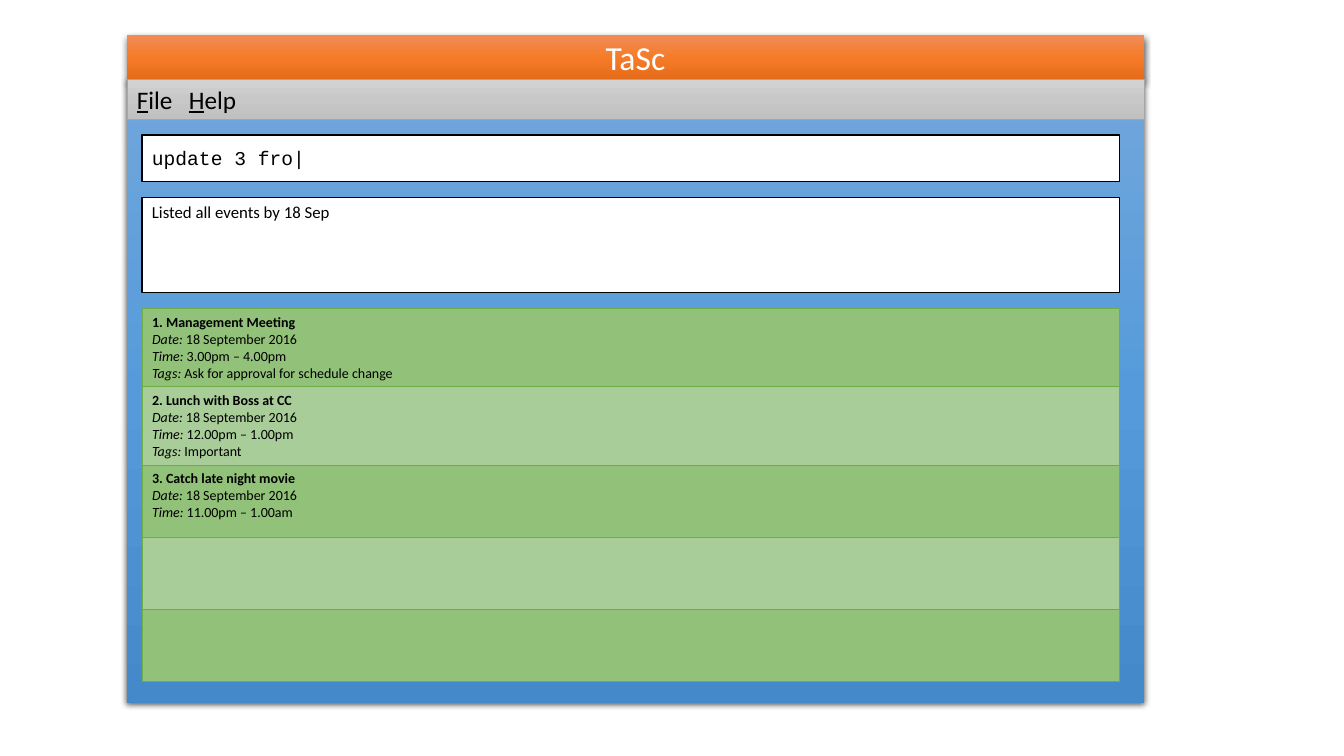
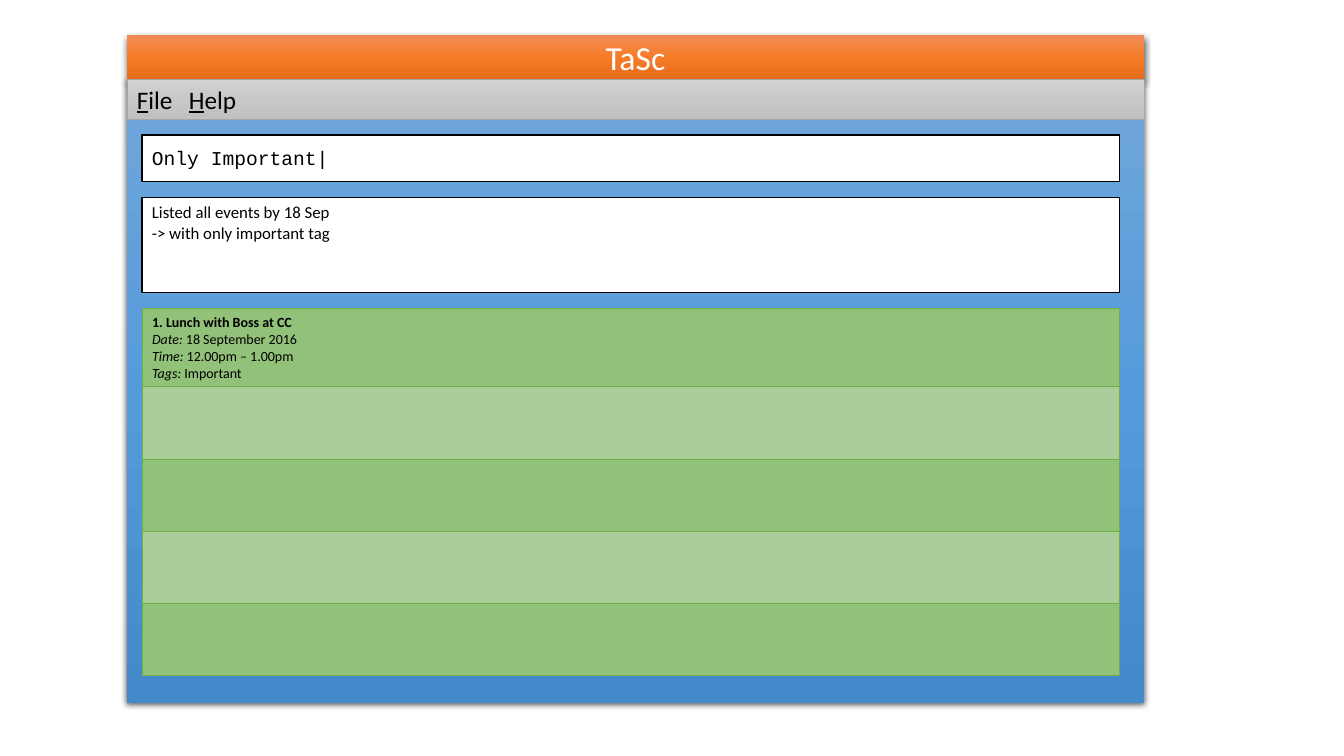
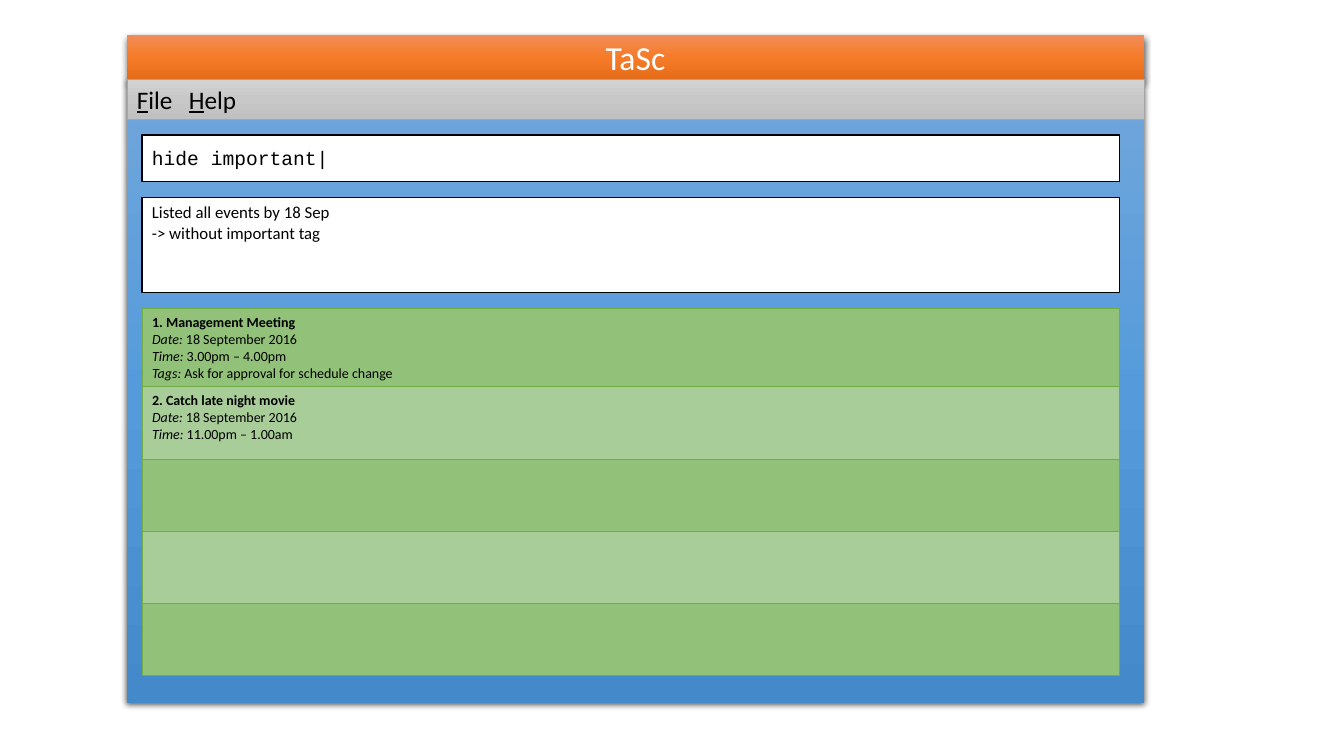
from pptx import Presentation
from pptx.dml.color import RGBColor
from pptx.enum.shapes import MSO_SHAPE
from pptx.enum.text import MSO_ANCHOR, PP_ALIGN
from pptx.oxml import parse_xml
from pptx.oxml.ns import nsdecls
from pptx.util import Cm, Pt

APP_NAME = "TaSc"
MENU = [("F", "ile\t"), ("H", "elp")]
MEETING = ("Management Meeting", [
    ("Date: ", "18 September 2016"),
    ("Time: ", "3.00pm – 4.00pm"),
    ("Tags: ", "Ask for approval for schedule change"),
])
LUNCH = ("Lunch with Boss at CC", [
    ("Date: ", "18 September 2016"),
    ("Time: ", "12.00pm – 1.00pm"),
    ("Tags: ", "Important"),
])
MOVIE = ("Catch late night movie", [
    ("Date: ", "18 September 2016"),
    ("Time: ", "11.00pm – 1.00am"),
])
SCREENS = [
    ("update 3 fro|", ["Listed all events by 18 Sep"], [MEETING, LUNCH, MOVIE]),
    ("Only Important|", ["Listed all events by 18 Sep", "-> with only important tag"], [LUNCH]),
    ("hide important|", ["Listed all events by 18 Sep", "-> without important tag"], [MEETING, MOVIE]),
]

BLACK = RGBColor(0x00, 0x00, 0x00)
WHITE = RGBColor(0xFF, 0xFF, 0xFF)
MENU_EDGE = RGBColor(0xA5, 0xA5, 0xA5)
ROW_EDGE = RGBColor(0x70, 0xAD, 0x47)
ROW_FILLS = [RGBColor(0x92, 0xC1, 0x79), RGBColor(0xA9, 0xCD, 0x99)]
BLUES = [RGBColor(0x71, 0xA6, 0xDB), RGBColor(0x55, 0x9B, 0xDB), RGBColor(0x44, 0x8A, 0xCA)]
ORANGES = [RGBColor(0xF1, 0x8C, 0x57), RGBColor(0xF6, 0x7B, 0x28), RGBColor(0xE5, 0x6C, 0x19)]
GREYS = [RGBColor(0xD2, 0xD2, 0xD2), RGBColor(0xC8, 0xC8, 0xC8), RGBColor(0xC0, 0xC0, 0xC0)]
BODY_FONT, CODE_FONT = "Calibri", "Courier New"

WINDOW_LEFT, WINDOW_WIDTH = Cm(3.2), Cm(25.63)
TITLE_TOP, TITLE_HEIGHT = Cm(0.89), Cm(1.12)
MENU_TOP, MENU_HEIGHT = TITLE_TOP + TITLE_HEIGHT, Cm(0.99)
WINDOW_HEIGHT = Cm(15.7)
FIELD_LEFT, FIELD_WIDTH = Cm(3.58), Cm(24.64)
GAP = Cm(0.4)
COMMAND_TOP, COMMAND_HEIGHT = MENU_TOP + MENU_HEIGHT + GAP, Cm(1.17)
RESULT_TOP, RESULT_HEIGHT = COMMAND_TOP + COMMAND_HEIGHT + GAP, Cm(2.41)
LIST_TOP = RESULT_TOP + RESULT_HEIGHT + GAP
ROW_COUNT, ROW_HEIGHT = 5, Cm(1.82)
HELP_TAB = Cm(1.31)


def style(run, size, font=BODY_FONT, color=BLACK, **marks):
    run.font.size = Pt(size)
    run.font.name = font
    run.font.color.rgb = color
    for mark, value in marks.items():
        setattr(run.font, mark, value)


def add_piece(paragraph, text, size, **marks):
    run = paragraph.add_run()
    run.text = text
    style(run, size, **marks)


def add_box(slide, left, top, width, height, edge=None, edge_width=1):
    box = slide.shapes.add_shape(MSO_SHAPE.RECTANGLE, left, top, width, height)
    box.shadow.inherit = False
    if edge is None:
        box.line.fill.background()
    else:
        box.line.color.rgb = edge
        box.line.width = Pt(edge_width)
    return box


def shade(box, colors):
    stops = "".join(f'<a:gs pos="{i * 50000}"><a:srgbClr val="{color}"/></a:gs>'
                    for i, color in enumerate(colors))
    gradient = parse_xml(f'<a:gradFill {nsdecls("a")} rotWithShape="1"><a:gsLst>{stops}</a:gsLst>'
                         '<a:lin ang="5400000" scaled="0"/></a:gradFill>')
    box.element.spPr.insert(2, gradient)


def drop_shadow(box):
    effects = box.element.spPr.find("{*}effectLst")
    effects.append(parse_xml(
        f'<a:outerShdw {nsdecls("a")} blurRad="{Pt(4.5)}" dist="{Pt(1.5)}" dir="5400000" '
        'algn="ctr" rotWithShape="0"><a:srgbClr val="000000"><a:alpha val="63000"/>'
        '</a:srgbClr></a:outerShdw>'))


def write(box, lines, size, font=BODY_FONT, color=BLACK, align=PP_ALIGN.LEFT, anchor=MSO_ANCHOR.MIDDLE):
    frame = box.text_frame
    frame.text = "\n".join(lines)
    frame.vertical_anchor = anchor
    for paragraph in frame.paragraphs:
        paragraph.alignment = align
        for run in paragraph.runs:
            style(run, size, font, color)


def add_window(slide):
    window = add_box(slide, WINDOW_LEFT, MENU_TOP, WINDOW_WIDTH, WINDOW_HEIGHT)
    shade(window, BLUES)
    drop_shadow(window)
    title = add_box(slide, WINDOW_LEFT, TITLE_TOP, WINDOW_WIDTH, TITLE_HEIGHT)
    shade(title, ORANGES)
    drop_shadow(title)
    write(title, [APP_NAME], 24, color=WHITE, align=PP_ALIGN.CENTER)


def add_field(slide, top, height, lines, size, **look):
    field = add_box(slide, FIELD_LEFT, top, FIELD_WIDTH, height, BLACK)
    field.fill.solid()
    field.fill.fore_color.rgb = WHITE
    write(field, lines, size, **look)


def add_events(slide, events):
    table = slide.shapes.add_table(ROW_COUNT, 1, FIELD_LEFT, LIST_TOP,
                                   FIELD_WIDTH, ROW_HEIGHT * ROW_COUNT).table
    table.first_row = table.horz_banding = False
    for i in range(ROW_COUNT):
        cell = table.cell(i, 0)
        properties = cell._tc.get_or_add_tcPr()
        for side in "LRTB":
            properties.append(parse_xml(
                f'<a:ln{side} {nsdecls("a")} w="{Pt(0.5)}"><a:solidFill>'
                f'<a:srgbClr val="{ROW_EDGE}"/></a:solidFill></a:ln{side}>'))
        cell.fill.solid()
        cell.fill.fore_color.rgb = ROW_FILLS[i % 2]
    for i, (name, details) in enumerate(events):
        frame = table.cell(i, 0).text_frame
        add_piece(frame.paragraphs[0], f"{i + 1}. {name}", 10, bold=True)
        for label, value in details:
            paragraph = frame.add_paragraph()
            add_piece(paragraph, label, 10, italic=True)
            add_piece(paragraph, value, 10)


def add_menu(slide):
    menu = add_box(slide, WINDOW_LEFT, MENU_TOP, WINDOW_WIDTH, MENU_HEIGHT, MENU_EDGE, 0.5)
    shade(menu, GREYS)
    menu.text_frame.vertical_anchor = MSO_ANCHOR.MIDDLE
    paragraph = menu.text_frame.paragraphs[0]
    paragraph.alignment = PP_ALIGN.LEFT
    paragraph._p.get_or_add_pPr().append(parse_xml(
        f'<a:tabLst {nsdecls("a")}><a:tab pos="{HELP_TAB}" algn="l"/></a:tabLst>'))
    for key, rest in MENU:
        add_piece(paragraph, key, 18, underline=True)
        add_piece(paragraph, rest, 18)


deck = Presentation()
deck.slide_width, deck.slide_height = Cm(33.87), Cm(19.05)
for command, result, events in SCREENS:
    slide = deck.slides.add_slide(deck.slide_layouts[6])
    add_window(slide)
    add_field(slide, COMMAND_TOP, COMMAND_HEIGHT, [command], 14, font=CODE_FONT)
    add_field(slide, RESULT_TOP, RESULT_HEIGHT, result, 12, anchor=MSO_ANCHOR.TOP)
    add_events(slide, events)
    add_menu(slide)
deck.save("out.pptx")
